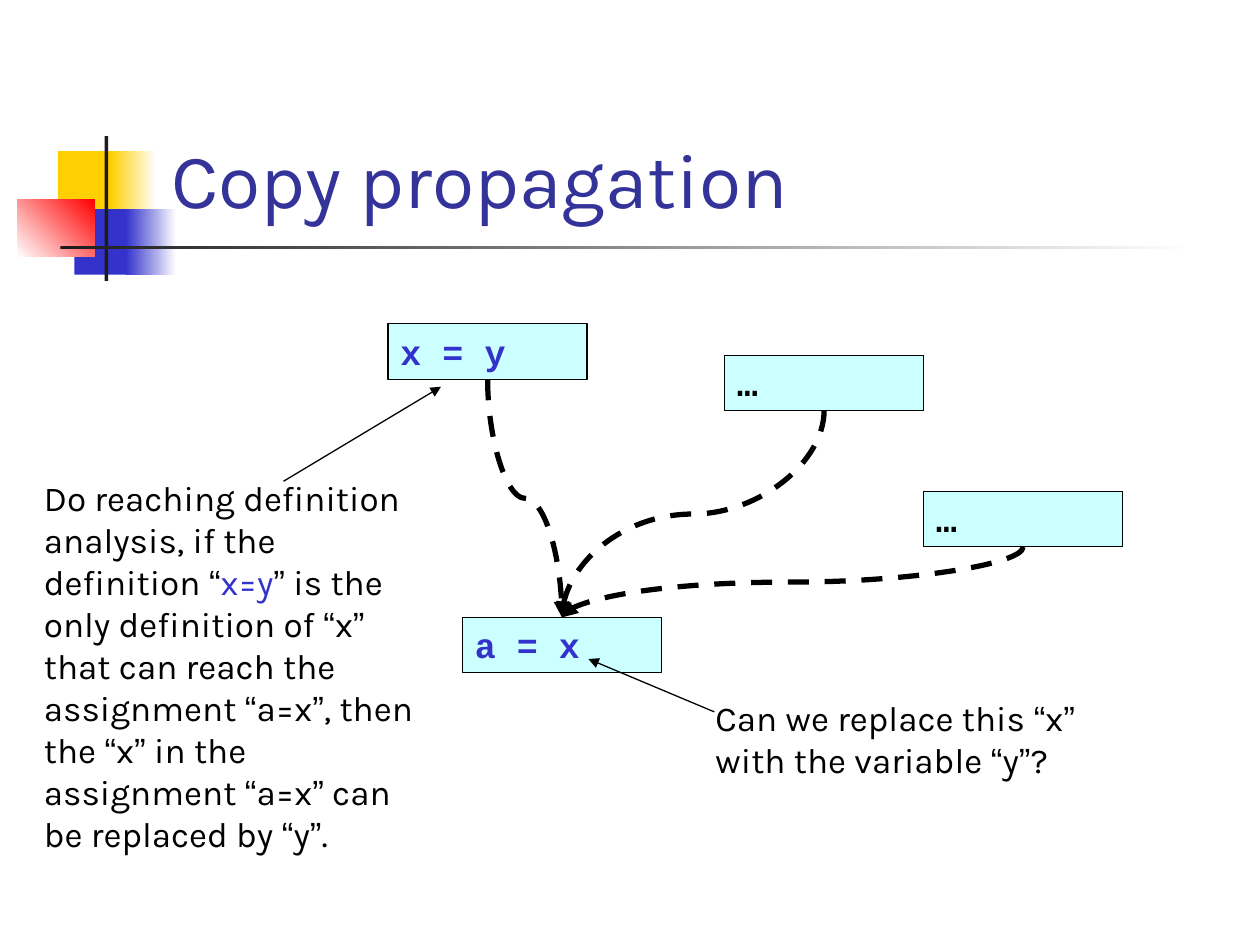
from dataclasses import dataclass
from itertools import groupby

from pptx import Presentation
from pptx.dml.color import RGBColor
from pptx.enum.dml import MSO_LINE
from pptx.enum.shapes import MSO_CONNECTOR, MSO_SHAPE
from pptx.enum.text import MSO_ANCHOR, MSO_AUTO_SIZE, PP_ALIGN
from pptx.oxml.ns import qn
from pptx.oxml.xmlchemy import OxmlElement
from pptx.util import Inches, Pt

RECT = MSO_SHAPE.RECTANGLE
STRAIGHT, CURVE = MSO_CONNECTOR.STRAIGHT, MSO_CONNECTOR.CURVE
DASH = MSO_LINE.DASH
LEFT = PP_ALIGN.LEFT
TOP, BOTTOM = MSO_ANCHOR.TOP, MSO_ANCHOR.BOTTOM
NO_FIT, GROW = MSO_AUTO_SIZE.NONE, MSO_AUTO_SIZE.SHAPE_TO_FIT_TEXT
BOTTOM_SITE, TOP_SITE = 2, 0


@dataclass(frozen=True)
class Theme:
    title: str = "333399"
    ink: str = "000000"
    blue: str = "3333CC"
    yellow: str = "FFCF01"
    red: str = "FF0000"
    white: str = "FFFFFF"
    rule: str = "1C1C1C"
    box: str = "CCFFFF"
    font: str = "Karla"
    quote_font: str = "Arial"
    code_font: str = "Courier New"
    title_size: int = 44
    text_size: int = 20


T = Theme()

DECOR = [
    ((0.46, 1.2, 0.48, 0.52), [T.yellow], 0),
    ((0.88, 1.2, 0.36, 0.52), [T.yellow, T.white], 0),
    ((0.59, 1.66, 0.46, 0.52), [T.blue], 0),
    ((1, 1.66, 0.4, 0.52), [T.blue, T.white], 0),
    ((0.14, 1.58, 0.61, 0.46), [T.white, T.red], 45),
    ((0.83, 1.08, 0.03, 1.15), [T.rule], 0),
    ((0.48, 1.95, 9, 0.03), [T.rule, T.white], 0),
]

QUESTION = "Can we replace this “x” with the variable “y”?"
ANSWER = (
    "Do reaching definition analysis, if the definition “x=y” is the only "
    "definition of “x” that can reach the assignment “a=x”, then the “x” in "
    "the assignment “a=x” can be replaced by “y”."
)


def rgb(color):
    return RGBColor.from_string(color)


def set_font(font, size, color, name=None, bold=None):
    font.size = Pt(size)
    font.color.rgb = rgb(color)
    font.name = name
    font.bold = bold


def add_rect(s, at, colors, angle=0):
    sp = s.shapes.add_shape(RECT, *map(Inches, at))
    sp.shadow.inherit = False
    sp.line.fill.background()
    if len(colors) == 1:
        sp.fill.solid()
        sp.fill.fore_color.rgb = rgb(colors[0])
    else:
        sp.fill.gradient()
        sp.fill.gradient_angle = angle
        for i, (stop, color) in enumerate(zip(sp.fill.gradient_stops, colors)):
            stop.position = i
            stop.color.rgb = rgb(color)
    return sp


def add_title(s, text):
    sp = s.shapes.title
    sp.left, sp.top, sp.width, sp.height = map(Inches, (1.26, 0.23, 8.52, 1.6))
    tf = sp.text_frame
    tf.text = text
    tf.auto_size = NO_FIT
    tf.vertical_anchor = BOTTOM
    p = tf.paragraphs[0]
    p.alignment = LEFT
    set_font(p.font, T.title_size, T.title, T.font)


def add_code_box(s, x, y, text, color):
    sp = add_rect(s, (x, y, 1.58, 0.44), [T.box])
    sp.line.color.rgb = rgb(T.ink)
    sp.line.width = Pt(0.75)
    tf = sp.text_frame
    tf.text = text
    tf.auto_size = GROW
    tf.vertical_anchor = TOP
    p = tf.paragraphs[0]
    p.alignment = LEFT
    set_font(p.font, T.text_size, color, T.code_font, True)
    return sp


def add_note(s, at, text, highlight=None):
    tf = s.shapes.add_textbox(*map(Inches, at)).text_frame
    tf.word_wrap = True
    tf.auto_size = GROW
    p = tf.paragraphs[0]
    set_font(p.font, T.text_size, T.ink)
    for is_quote, chars in groupby(text, lambda ch: ch in "“”"):
        r = p.add_run()
        r.text = "".join(chars)
        r.font.name = T.quote_font if is_quote else T.font
        if r.text == highlight:
            r.font.color.rgb = rgb(T.blue)


def add_arrow(s, kind, start, end, width):
    c = s.shapes.add_connector(kind, *map(Inches, start + end))
    c.line.color.rgb = rgb(T.ink)
    c.line.width = Pt(width)
    tail = OxmlElement("a:tailEnd")
    tail.set("type", "triangle")
    c.line._get_or_add_ln().append(tail)
    c._element.spPr.append(OxmlElement("a:effectLst"))
    return c


def add_flow(s, source, target):
    c = add_arrow(s, CURVE, (0, 0), (1, 1), 3)
    c.line.dash_style = DASH
    c.begin_connect(source, BOTTOM_SITE)
    c.end_connect(target, TOP_SITE)
    rightward = c.end_x > c.begin_x
    x, y, w, h = c.left, c.top, c.width, c.height
    c.left, c.top = x + (w - h) // 2, y + (h - w) // 2
    c.width, c.height = h, w
    xfrm = c._element.spPr.find(qn("a:xfrm"))
    xfrm.set("rot", str((270 if rightward else 90) * 60000))
    xfrm.set("flipH", "1" if rightward else "0")


def main():
    prs = Presentation()
    prs.slide_width, prs.slide_height = Inches(10), Inches(7.5)
    s = prs.slides.add_slide(prs.slide_layouts[5])
    for at, colors, angle in DECOR:
        add_rect(s, at, colors, angle)
    add_title(s, "Copy propagation")

    use = add_code_box(s, 3.67, 4.9, "a = x", T.blue)
    sources = [
        add_code_box(s, 3.08, 2.57, "x = y", T.blue),
        add_code_box(s, 5.75, 2.82, "…", T.ink),
        add_code_box(s, 7.33, 3.9, "…", T.ink),
    ]
    for source in sources:
        add_flow(s, source, use)

    add_note(s, (5.58, 5.48, 3.25, 0.77), QUESTION)
    add_arrow(s, STRAIGHT, (5.67, 5.65), (4.67, 5.23), 0.75)
    add_note(s, (0.25, 3.73, 3.25, 2.77), ANSWER, highlight="x=y")
    add_arrow(s, STRAIGHT, (2.25, 3.82), (3.5, 3.07), 0.75)
    prs.save("out.pptx")


if __name__ == "__main__":
    main()
